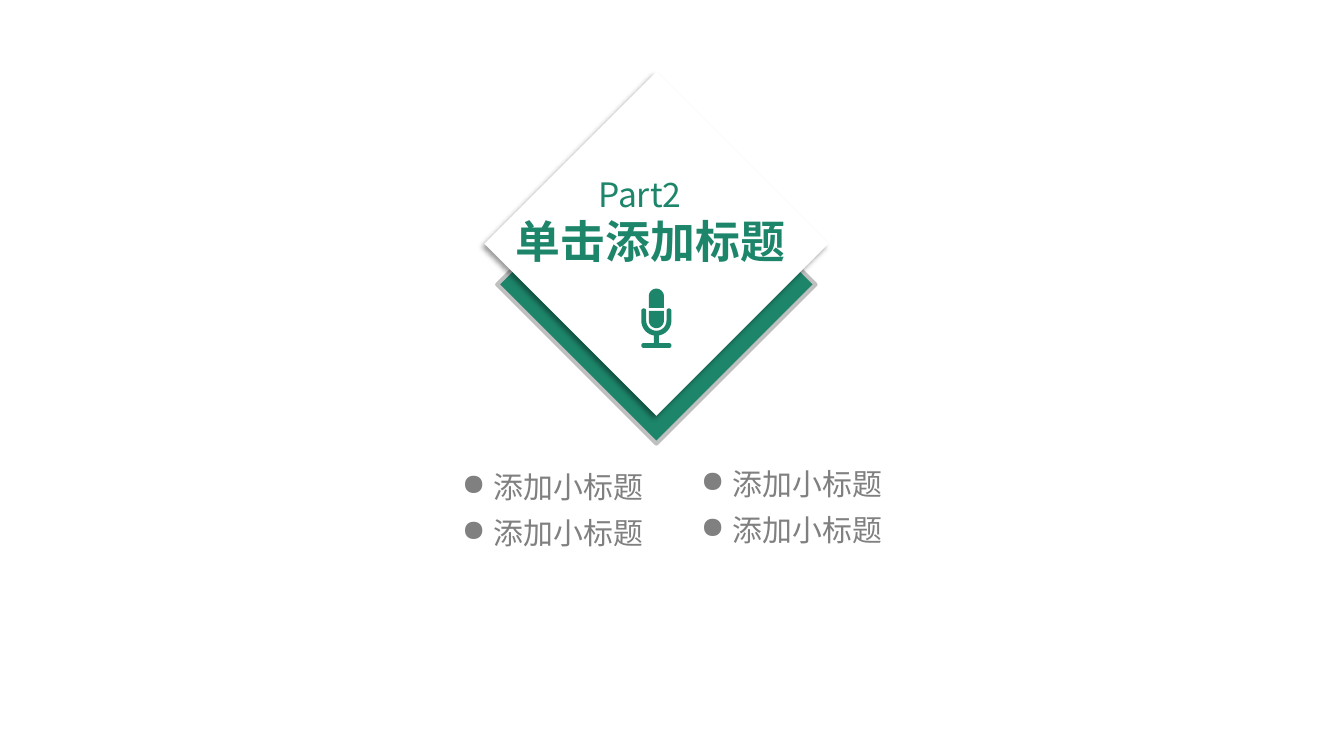
import math

import lxml.etree
import pptx
import pptx.dml.color
import pptx.enum.shapes
import pptx.enum.text
import pptx.oxml.ns
import pptx.util

Cm = pptx.util.Cm
Pt = pptx.util.Pt
qn = pptx.oxml.ns.qn
RGBColor = pptx.dml.color.RGBColor

GREEN = RGBColor(0x1D, 0x85, 0x6A)
WHITE = RGBColor(0xFF, 0xFF, 0xFF)
BORDER = RGBColor(0xBF, 0xBF, 0xBF)
GREY = RGBColor(0x80, 0x80, 0x80)
FONT = "Noto Sans CJK SC"

HEADINGS = [
    {"text": "Part2", "box": (15.65, 4.5, 3.56, 1.35), "wrap": True,
     "font": {"size": Pt(25.3), "bold": False}},
    {"text": "单击添加标题", "box": (13.46, 5.56, 7.72, 1.7), "wrap": False,
     "font": {"size": Pt(33.8), "bold": True}},
]
SUBTITLE_COLUMNS = [
    {"left": 11.99, "top": 12.32, "items": ["添加小标题", "添加小标题"]},
    {"left": 18.34, "top": 12.24, "items": ["添加小标题", "添加小标题"]},
]
SUBTITLE_SIZE = (5.38, 1.24)
SUBTITLE_STEP = 1.22
SUBTITLE_MARGINS = {"margin_left": Cm(0.28), "margin_right": Cm(0.28),
                    "margin_top": Cm(0.13), "margin_bottom": Cm(0.13)}
SUBTITLE_FONT = {"size": Pt(22.5)}
BULLET_INDENT = Cm(0.84)
CENTER_X = 17.44
DIAMONDS = {"back": (3.33, 8.46), "front": (1.91, 9.14)}


def add_diamond(s, top, side, color):
    sp = s.shapes.add_shape(
        pptx.enum.shapes.MSO_SHAPE.DIAMOND,
        Cm(CENTER_X - side / 2), Cm(top), Cm(side), Cm(side))
    sp.shadow.inherit = False
    sp.fill.solid()
    sp.fill.fore_color.rgb = color
    sp.line.fill.background()
    return sp


def add_shadow(sp, blur, dist, angle, alpha):
    effects = sp._element.spPr.find(qn("a:effectLst"))
    shadow = lxml.etree.SubElement(
        effects, qn("a:outerShdw"), blurRad=str(Pt(blur)), dist=str(Pt(dist)),
        dir=str(angle * 60000), algn="tr", rotWithShape="0")
    clr = lxml.etree.SubElement(shadow, qn("a:srgbClr"), val="000000")
    lxml.etree.SubElement(clr, qn("a:alpha"), val=str(alpha * 1000))


def add_text(s, text, box, wrap, font, color):
    sp = s.shapes.add_textbox(*map(Cm, box))
    tf = sp.text_frame
    tf.word_wrap = wrap
    tf.auto_size = pptx.enum.text.MSO_AUTO_SIZE.SHAPE_TO_FIT_TEXT
    r = tf.paragraphs[0].add_run()
    r.text = text
    for name, value in {"name": FONT, **font}.items():
        setattr(r.font, name, value)
    r.font.color.rgb = color
    lxml.etree.SubElement(r._r.get_or_add_rPr(), qn("a:ea"), typeface=FONT)
    return tf


def add_bullet(p):
    pPr = p._p.get_or_add_pPr()
    pPr.set("marL", str(BULLET_INDENT))
    pPr.set("indent", str(-BULLET_INDENT))
    lxml.etree.SubElement(pPr, qn("a:buChar"), char="●")


def arc(cx, cy, radius, start, end, steps=16):
    angles = [math.radians(start + (end - start) * i / steps) for i in range(steps + 1)]
    return [(cx + radius * math.cos(a), cy + radius * math.sin(a)) for a in angles]


def microphone_outlines():
    body, inner, outer = 0.2, 0.27, 0.4
    bar = (outer - inner) / 2
    arm = inner + bar
    cup_y, arm_y, base_y = 8.52, 8.26, 9.18
    stem_angle = math.degrees(math.acos(bar / outer))
    head = arc(0, 7.87, body, 180, 360) + [(body, 8.18), (-body, 8.18)]
    lower = [(-body, arm_y), (body, arm_y)] + arc(0, cup_y, body, 0, 180)
    stand = (
        arc(-arm, arm_y, bar, 180, 360)
        + arc(0, cup_y, inner, 180, 0)
        + arc(arm, arm_y, bar, 180, 360)
        + arc(0, cup_y, outer, 0, stem_angle)
        + [(bar, base_y - bar)]
        + arc(arm, base_y, bar, -90, 90)
        + arc(-arm, base_y, bar, 90, 270)
        + [(-bar, base_y - bar)]
        + arc(0, cup_y, outer, 180 - stem_angle, 180)
    )
    return [head, lower, stand]


def add_microphone(s):
    unit = 1000
    outlines = [[(round((CENTER_X + x) * unit), round(y * unit)) for x, y in outline]
                for outline in microphone_outlines()]
    builder = s.shapes.build_freeform(*outlines[0][0], scale=Cm(1) / unit)
    for i, outline in enumerate(outlines):
        if i:
            builder.move_to(*outline[0])
        builder.add_line_segments(outline[1:], close=True)
    sp = builder.convert_to_shape()
    sp.shadow.inherit = False
    sp.fill.solid()
    sp.fill.fore_color.rgb = GREEN
    sp.line.fill.background()


def main():
    prs = pptx.Presentation()
    prs.slide_width, prs.slide_height = Cm(35.71), Cm(20.09)
    s = prs.slides.add_slide(prs.slide_layouts[6])

    back = add_diamond(s, *DIAMONDS["back"], GREEN)
    back.line.color.rgb = BORDER
    back.line.width = Pt(3)
    front = add_diamond(s, *DIAMONDS["front"], WHITE)
    add_shadow(front, blur=4, dist=3, angle=135, alpha=40)

    for heading in HEADINGS:
        add_text(s, **heading, color=GREEN)
    add_microphone(s)

    for column in SUBTITLE_COLUMNS:
        for row, text in enumerate(column["items"]):
            box = (column["left"], column["top"] + row * SUBTITLE_STEP, *SUBTITLE_SIZE)
            tf = add_text(s, text, box, False, SUBTITLE_FONT, GREY)
            for name, value in SUBTITLE_MARGINS.items():
                setattr(tf, name, value)
            p = tf.paragraphs[0]
            p.alignment = pptx.enum.text.PP_ALIGN.CENTER
            add_bullet(p)

    prs.save("out.pptx")


if __name__ == "__main__":
    main()
